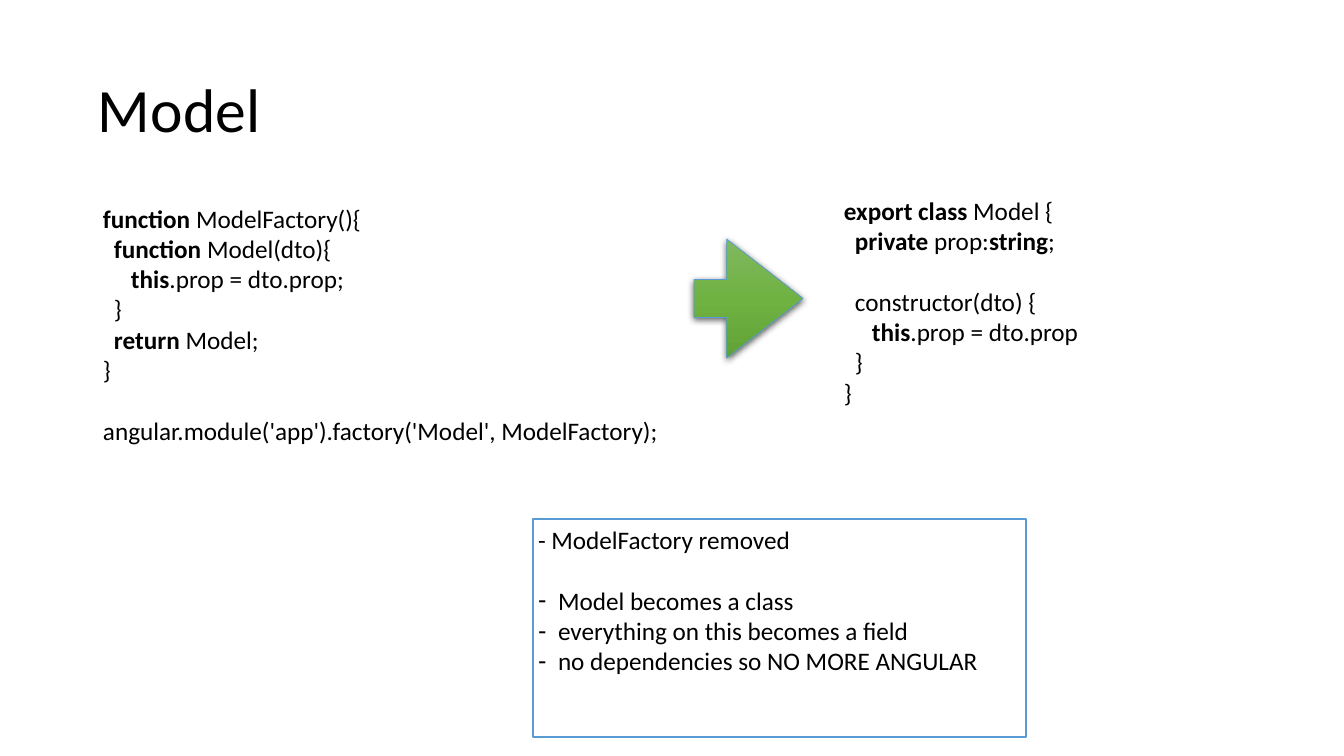
"""Builds the slide that compares the Model code before and after."""
from copy import deepcopy

from lxml import etree
from pptx import Presentation
from pptx.dml.color import RGBColor
from pptx.enum import shapes, text
from pptx.oxml import ns
from pptx.util import Emu, Pt

COLORS = {
    "text": "000000",
    "paper": "FFFFFF",
    "border": "5B9BD5",
    "arrow_top": "80B860",
    "arrow_middle": "6FB242",
    "arrow_bottom": "61A236",
    "shadow": "000000",
}
STEP, NESTED = 11, 28  # code indents in pixels
BLANK = 22  # points in one blank line

# Each line is (text, indent, space before); *stars* mark bold words.
OLD_CODE = [
    ("*function* ModelFactory(){", 0, 0),
    ("*function* Model(dto){", STEP, 0),
    ("*this*.prop = dto.prop;", NESTED, 0),
    ("}", STEP, 0),
    ("*return* Model;", STEP, 0),
    ("}", 0, 0),
    ("angular.module('app').factory('Model', ModelFactory);", 0, BLANK),
]
NEW_CODE = [
    ("*export class* Model {", 0, 0),
    ("*private* prop:*string*;", STEP, 0),
    ("constructor(dto) {", STEP, BLANK),
    ("*this*.prop = dto.prop", NESTED, 0),
    ("}", STEP, 0),
    ("}", 0, 0),
]
CHANGES = [
    "Model becomes a class",
    "everything on this becomes a field",
    "no dependencies so NO MORE ANGULAR",
]


def px(pixels):
    """Turn pixels of the 1344 by 756 canvas into EMU."""
    return Emu(round(pixels * 914400 / 100.8))


def color(name):
    """Look up a named colour."""
    return RGBColor.from_string(COLORS[name])


class SlideBuilder:
    """Holds the text style and the current slide."""

    font = "Calibri"
    body_size = 18
    title_size = 44
    inset = 5

    def __init__(self, slide):
        self.slide = slide

    def place(self, shape, box):
        """Move a shape to left, top, width, height."""
        shape.left, shape.top, shape.width, shape.height = map(px, box)

    def frame(self, shape, anchor):
        """Prepare a shape's text frame."""
        frame = shape.text_frame
        frame.word_wrap = True
        frame.auto_size = text.MSO_AUTO_SIZE.NONE
        frame.vertical_anchor = anchor
        frame.margin_left = frame.margin_right = px(self.inset)
        frame.margin_top = frame.margin_bottom = px(self.inset)
        return frame

    def style(self, paragraph, size, before=0):
        """Align a paragraph and style its runs."""
        paragraph.alignment = text.PP_ALIGN.LEFT
        paragraph.space_before = Pt(before)
        for run in paragraph.runs:
            run.font.name = self.font
            run.font.size = Pt(size)
            run.font.color.rgb = color("text")

    def indent(self, paragraph, left, bullet=None):
        """Indent a paragraph, with a hanging bullet if one is given."""
        properties = paragraph._p.get_or_add_pPr()
        properties.set("marL", str(px(left)))
        properties.set("indent", str(px(-left if bullet else 0)))
        if bullet:
            etree.SubElement(properties, ns.qn("a:buChar"), char=bullet)
        else:
            etree.SubElement(properties, ns.qn("a:buNone"))

    def title(self, words, box):
        """Fill the title placeholder."""
        shape = self.slide.shapes.title
        self.place(shape, box)
        frame = self.frame(shape, text.MSO_ANCHOR.MIDDLE)
        frame.text = words
        frame.paragraphs[0].line_spacing = 0.9
        self.style(frame.paragraphs[0], self.title_size)

    def code(self, lines, box):
        """Add a code listing with bold keywords."""
        shape = self.slide.shapes.add_textbox(*map(px, box))
        frame = self.frame(shape, text.MSO_ANCHOR.TOP)
        for number, (line, left, before) in enumerate(lines):
            paragraph = frame.add_paragraph() if number else frame.paragraphs[0]
            for part, words in enumerate(line.split("*")):
                if words:
                    run = paragraph.add_run()
                    run.text = words
                    run.font.bold = part % 2 == 1
            self.style(paragraph, self.body_size, before)
            self.indent(paragraph, left)

    def framed_list(self, heading, items, box):
        """Fill the body placeholder as a framed list."""
        shape = self.slide.placeholders[1]
        self.place(shape, box)
        shape.fill.solid()
        shape.fill.fore_color.rgb = color("paper")
        shape.line.color.rgb = color("border")
        shape.line.width = Pt(1)
        frame = self.frame(shape, text.MSO_ANCHOR.TOP)
        frame.text = "\n".join([heading, *items])
        for number, paragraph in enumerate(frame.paragraphs):
            self.style(paragraph, self.body_size, BLANK if number == 1 else 0)
            if number:
                self.indent(paragraph, 20, "-")
            else:
                self.indent(paragraph, 0)

    def arrow(self, box):
        """Add the shaded arrow with a soft shadow."""
        shape = self.slide.shapes.add_shape(
            shapes.MSO_SHAPE.RIGHT_ARROW, *map(px, box))
        shape.adjustments[0], shape.adjustments[1] = 0.32, 0.7
        shape.line.color.rgb = color("border")
        shape.line.width = Pt(0.5)
        shape.fill.gradient()
        shape.fill.gradient_angle = 270
        properties = shape._element.spPr
        stop_list = properties.find(".//" + ns.qn("a:gsLst"))
        stop_list.append(deepcopy(stop_list[0]))
        names = ("arrow_top", "arrow_middle", "arrow_bottom")
        for number, stop in enumerate(shape.fill.gradient_stops):
            stop.position = number / 2
            stop.color.rgb = color(names[number])
        shape.shadow.inherit = False
        shadow = etree.SubElement(
            properties.find(ns.qn("a:effectLst")), ns.qn("a:outerShdw"),
            blurRad=str(Pt(5)), dist=str(Pt(1.5)), dir="5400000", rotWithShape="0")
        shade = etree.SubElement(
            shadow, ns.qn("a:srgbClr"), val=COLORS["shadow"])
        etree.SubElement(shade, ns.qn("a:alpha"), val="63000")


def main():
    """Build and save the presentation."""
    presentation = Presentation()
    presentation.slide_width, presentation.slide_height = px(1344), px(756)
    slide = presentation.slides.add_slide(presentation.slide_layouts[1])
    builder = SlideBuilder(slide)
    builder.title("Model", (93, 40, 1159, 146))
    builder.code(OLD_CODE, (98, 198, 613, 245))
    builder.code(NEW_CODE, (839, 190, 295, 216))
    builder.framed_list("- ModelFactory removed", CHANGES, (533, 519, 493, 218))
    builder.arrow((694, 239, 109, 119))
    presentation.save("out.pptx")


main()
